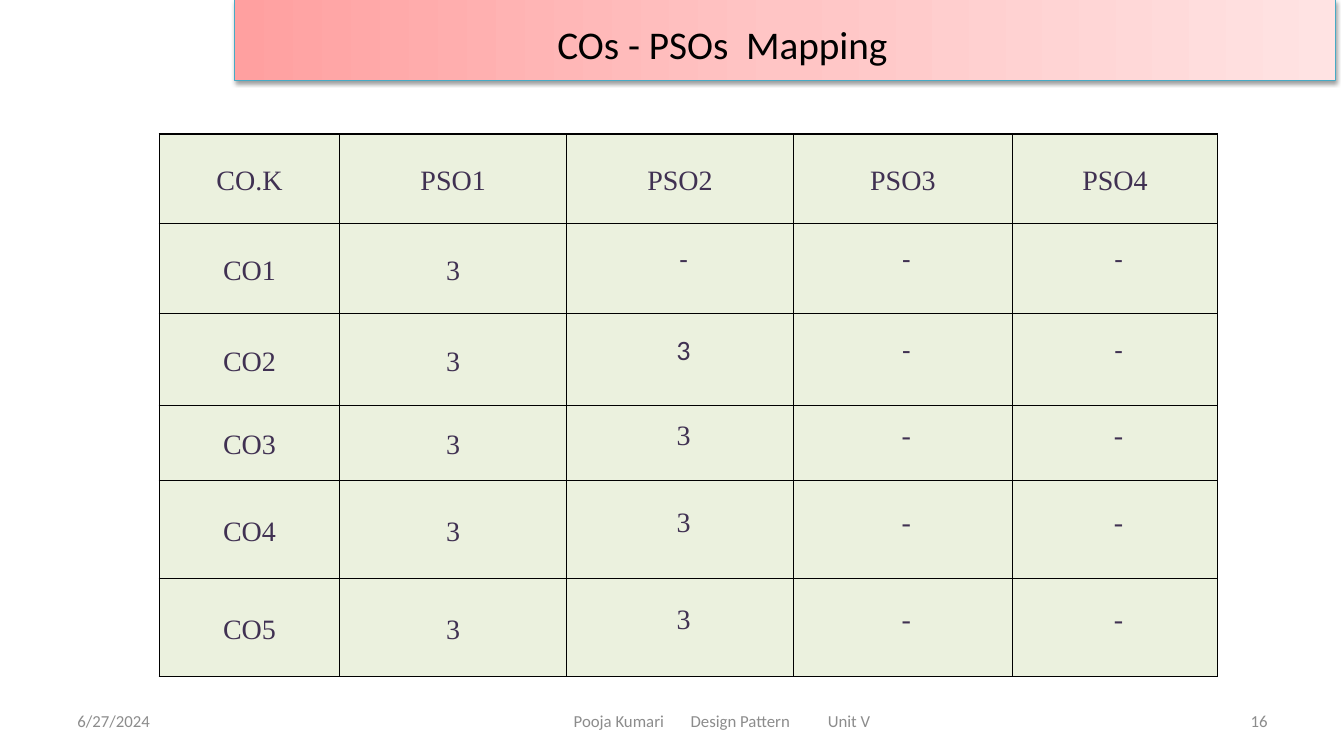
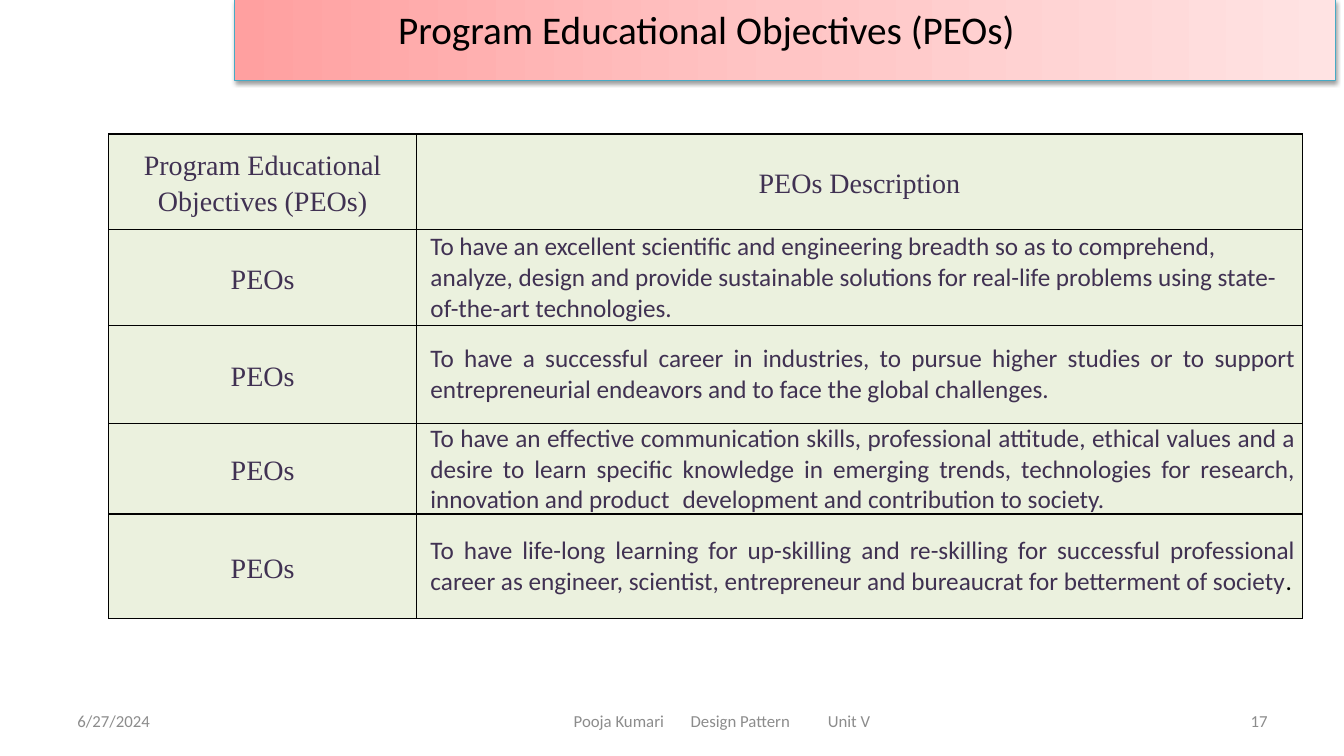
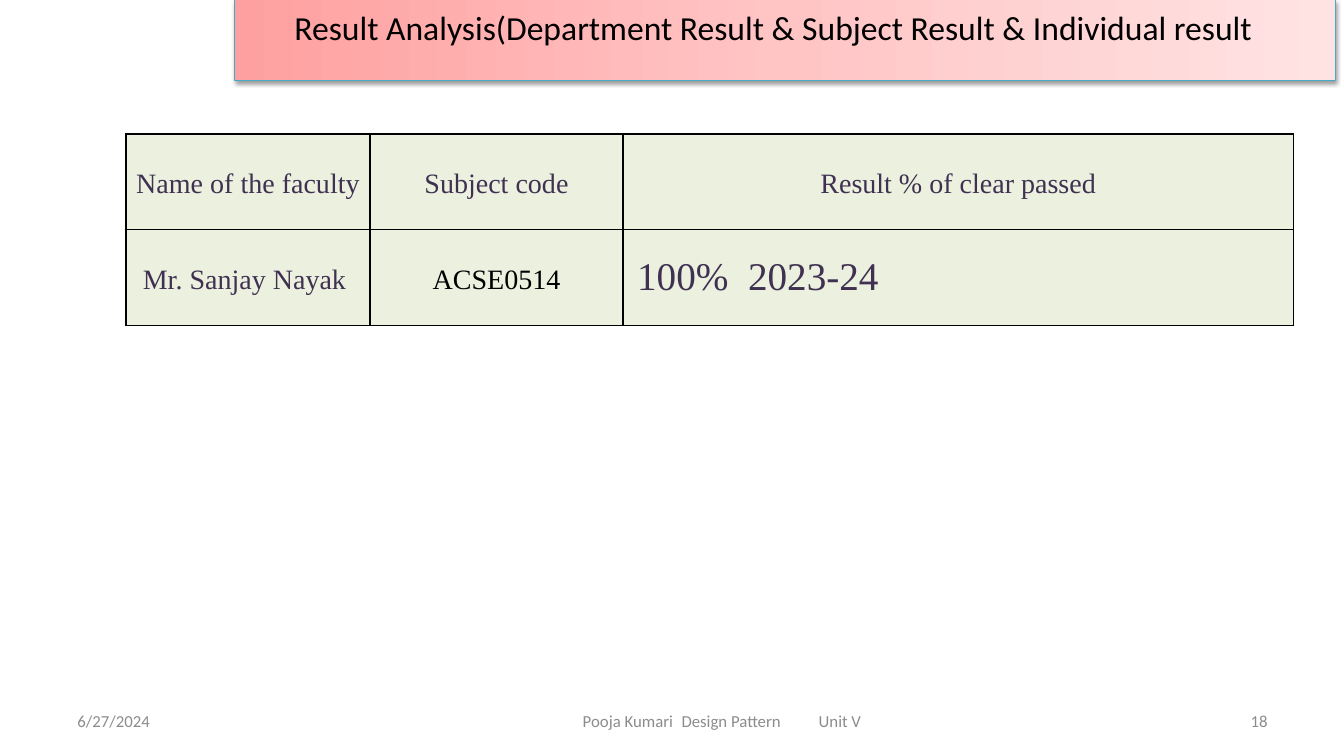
from copy import deepcopy
from dataclasses import dataclass, replace

from lxml.etree import SubElement
from pptx import Presentation
from pptx.dml.color import RGBColor
from pptx.enum.shapes import MSO_SHAPE
from pptx.enum.text import MSO_ANCHOR, PP_ALIGN
from pptx.oxml import parse_xml
from pptx.oxml.ns import nsdecls, qn
from pptx.slide import Slide
from pptx.util import Inches, Pt

COLORS = {
    "band_left": "FFA0A0",
    "band_middle": "FFC5C5",
    "band_right": "FFE3E3",
    "band_line": "46AAC5",
    "footer": "8C8C8C",
    "cell": "EBF1DE",
    "cell_text": "403152",
    "black": "000000",
}
SANS, SERIF = "Calibri", "Times New Roman"
FOOTER_TOP, FOOTER_HEIGHT = 6.95, 0.4
TABLE_TOP = 1.33
CELL_PAD = 0.07


@dataclass(frozen=True)
class TextStyle:
    font: str = SERIF
    size: float = 20
    color: str = "cell_text"
    align: PP_ALIGN = PP_ALIGN.CENTER
    spacing: float | Pt | None = None
    indent: float = 0
    tabs: tuple[float, ...] = ()


@dataclass(frozen=True)
class Cell:
    text: str
    style: TextStyle
    black_ending: str = ""


@dataclass(frozen=True)
class Grid:
    left: float
    columns: tuple[float, ...]
    row_heights: tuple[float, ...]
    rows: list[list[Cell]]


@dataclass(frozen=True)
class Box:
    left: float
    top: float
    width: float
    height: float


@dataclass(frozen=True)
class Title:
    text: str
    box: Box
    size: float = 28


@dataclass(frozen=True)
class Page:
    number: int
    title: Title
    grid: Grid
    footer_inset: float = 1.27
    footer_tabs: tuple[float, float] = (1.16, 2.52)


LABEL = TextStyle(spacing=1.15)
SCORE = TextStyle(spacing=Pt(12.3), indent=CELL_PAD)
OBJECTIVE = TextStyle(SANS, 18, align=PP_ALIGN.JUSTIFY, indent=CELL_PAD)
RESULT = TextStyle(size=28, align=PP_ALIGN.LEFT, indent=CELL_PAD)
FOOTER = TextStyle(SANS, 12, "footer")


def rgb(name: str) -> RGBColor:
    return RGBColor.from_string(COLORS[name])


def format_paragraph(paragraph, style: TextStyle) -> None:
    paragraph.alignment = style.align
    if style.spacing is not None:
        paragraph.line_spacing = style.spacing
    properties = paragraph._p.get_or_add_pPr()
    if style.indent:
        properties.set("marL", str(Inches(style.indent)))
        properties.set("indent", "0")
    if style.tabs:
        stops = SubElement(properties, qn("a:tabLst"))
        for position in style.tabs:
            SubElement(stops, qn("a:tab"), pos=str(Inches(position)), algn="l")
    for run in paragraph.runs:
        run.font.name = style.font
        run.font.size = Pt(style.size)
        run.font.color.rgb = rgb(style.color)


def add_text(slide: Slide, box: Box, text: str, style: TextStyle,
             anchor: MSO_ANCHOR = MSO_ANCHOR.MIDDLE, inset: float = 0.1) -> None:
    frame = slide.shapes.add_textbox(
        Inches(box.left), Inches(box.top), Inches(box.width), Inches(box.height)
    ).text_frame
    frame.word_wrap = True
    frame.vertical_anchor = anchor
    frame.margin_left = Inches(inset)
    frame.text = text
    format_paragraph(frame.paragraphs[0], style)


def add_band(slide: Slide) -> None:
    band = slide.shapes.add_shape(
        MSO_SHAPE.RECTANGLE, Inches(2.33), 0, Inches(10.92), Inches(0.8))
    band.line.color.rgb = rgb("band_line")
    band.line.width = Pt(0.75)

    band.fill.gradient()
    band.fill.gradient_angle = 0
    properties = band.element.spPr
    stop_list = properties.find(f"{qn('a:gradFill')}/{qn('a:gsLst')}")
    stop_list.append(deepcopy(stop_list[-1]))
    names = ("band_left", "band_middle", "band_right")
    for index, (stop, name) in enumerate(zip(band.fill.gradient_stops, names)):
        stop.position = index / 2
        stop.color.rgb = rgb(name)

    band.shadow.inherit = False
    properties.find(qn("a:effectLst")).append(parse_xml(
        f'<a:outerShdw {nsdecls("a")} blurRad="{Pt(3.1)}" dist="{Pt(1.6)}" '
        f'dir="5400000" rotWithShape="0"><a:srgbClr val="{COLORS["black"]}">'
        '<a:alpha val="38000"/></a:srgbClr></a:outerShdw>'))


def add_footer(slide: Slide, page: Page) -> None:
    side_width = 3.11
    add_text(slide, Box(0.67, FOOTER_TOP, side_width, FOOTER_HEIGHT), "6/27/2024",
             replace(FOOTER, align=PP_ALIGN.LEFT))
    add_text(slide, Box(9.56, FOOTER_TOP, side_width, FOOTER_HEIGHT), str(page.number),
             replace(FOOTER, align=PP_ALIGN.RIGHT))
    add_text(slide, Box(4.42, FOOTER_TOP, 5.5, FOOTER_HEIGHT),
             "\t".join(("Pooja Kumari", "Design Pattern", "Unit V")),
             replace(FOOTER, align=PP_ALIGN.LEFT, tabs=page.footer_tabs),
             inset=page.footer_inset)


def fill_cell(cell, content: Cell) -> None:
    cell.margin_left = cell.margin_right = Inches(CELL_PAD)
    cell.margin_top = cell.margin_bottom = 0
    cell.vertical_anchor = MSO_ANCHOR.MIDDLE
    cell.fill.solid()
    cell.fill.fore_color.rgb = rgb("cell")
    properties = cell._tc.get_or_add_tcPr()
    for index, side in enumerate("LRTB"):
        properties.insert(index, parse_xml(
            f'<a:ln{side} {nsdecls("a")} w="{Pt(1)}"><a:solidFill>'
            f'<a:srgbClr val="{COLORS["black"]}"/></a:solidFill></a:ln{side}>'))

    paragraph = cell.text_frame.paragraphs[0]
    paragraph.text = content.text
    if content.black_ending:
        paragraph.add_run().text = content.black_ending
    format_paragraph(paragraph, content.style)
    if content.black_ending:
        paragraph.runs[-1].font.color.rgb = rgb("black")


def add_grid(slide: Slide, grid: Grid) -> None:
    table = slide.shapes.add_table(
        len(grid.rows), len(grid.columns), Inches(grid.left), Inches(TABLE_TOP),
        Inches(sum(grid.columns)), Inches(sum(grid.row_heights))).table
    table.first_row = table.horz_banding = False
    for column, width in zip(table.columns, grid.columns):
        column.width = Inches(width)
    for row, height, contents in zip(table.rows, grid.row_heights, grid.rows):
        row.height = Inches(height)
        for cell, content in zip(row.cells, contents):
            fill_cell(cell, content)


def label_row(*texts: str) -> list[Cell]:
    return [Cell(text, LABEL) for text in texts]


def outcome_row(number: int, pso2: str) -> list[Cell]:
    score = replace(SCORE, font=SANS if number <= 2 else SERIF)
    return label_row(f"CO{number}", "3") + [Cell(text, score) for text in (pso2, "-", "-")]


OBJECTIVES = [
    Cell("To have an excellent scientific and engineering breadth so as to comprehend, "
         "analyze, design and provide sustainable solutions for real-life problems using "
         "state-of-the-art technologies.", replace(OBJECTIVE, align=PP_ALIGN.LEFT)),
    Cell("To have a successful career in industries, to pursue higher studies or to support "
         "entrepreneurial endeavors and to face the global challenges.", OBJECTIVE),
    Cell("To have an effective communication skills, professional attitude, ethical values "
         "and a desire to learn specific knowledge in emerging trends, technologies for "
         "research, innovation and product\tdevelopment and contribution to society.",
         replace(OBJECTIVE, tabs=(2.66,))),
    Cell("To have life-long learning for up-skilling and re-skilling for successful "
         "professional career as engineer, scientist, entrepreneur and bureaucrat for "
         "betterment of society", OBJECTIVE, black_ending="."),
]

PAGES = [
    Page(16, Title("COs - PSOs  Mapping", Box(3.83, 0.15, 6.67, 0.57)), Grid(
        1.58, (1.79, 2.25, 2.25, 2.17, 2.04), (0.89, 0.89, 0.91, 0.75, 0.97, 0.97),
        [label_row("CO.K", "PSO1", "PSO2", "PSO3", "PSO4")]
        + [outcome_row(number, pso2) for number, pso2 in enumerate("-3333", start=1)])),
    Page(17, Title("Program Educational Objectives (PEOs)", Box(3.67, 0, 6.67, 0.57)), Grid(
        1.08, (3.05, 8.79), (0.95, 0.95, 0.97, 0.86, 1.04),
        [label_row("Program Educational Objectives (PEOs)", "PEOs Description")]
        + [label_row("PEOs") + [objective] for objective in OBJECTIVES])),
    Page(18, Title("Result Analysis(Department Result & Subject Result & Individual result",
                   Box(2.26, 0.02, 10.82, 0.5), size=24), Grid(
        1.25, (2.42, 2.51, 6.65), (0.95, 0.95),
        [label_row("Name of the faculty ", "Subject code", "Result % of clear passed"),
         [Cell("Mr. Sanjay Nayak ", LABEL),
          Cell("ACSE0514", replace(LABEL, color="black")),
          Cell("100%  2023-24", RESULT)]]),
        footer_inset=1.36, footer_tabs=(0.98, 2.34)),
]


def main() -> None:
    deck = Presentation()
    deck.slide_width, deck.slide_height = Inches(13.33), Inches(7.5)
    blank = deck.slide_layouts[6]
    for page in PAGES:
        slide = deck.slides.add_slide(blank)
        add_band(slide)
        add_grid(slide, page.grid)
        add_footer(slide, page)
        add_text(slide, page.title.box, page.title.text,
                 TextStyle(SANS, page.title.size, "black"), MSO_ANCHOR.TOP)
    deck.save("out.pptx")


if __name__ == "__main__":
    main()
